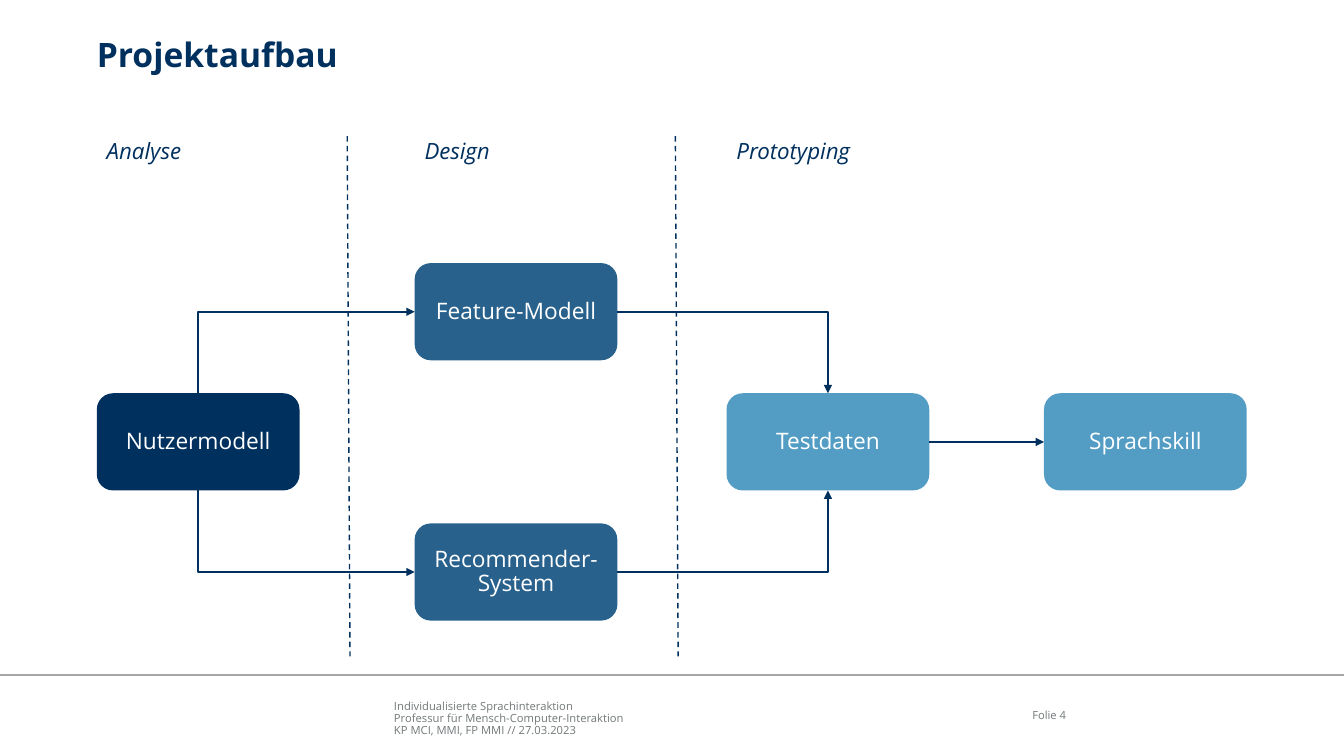
from lxml.etree import SubElement
from pptx import Presentation
from pptx.dml.color import RGBColor
from pptx.enum.dml import MSO_LINE
from pptx.enum.shapes import MSO_CONNECTOR, MSO_SHAPE
from pptx.enum.text import MSO_ANCHOR, PP_ALIGN
from pptx.oxml.ns import qn
from pptx.util import Cm, Pt

NAVY = RGBColor(0x00, 0x30, 0x5E)
BLUE = RGBColor(0x28, 0x61, 0x8C)
SKY = RGBColor(0x53, 0x9D, 0xC5)
WHITE = RGBColor(0xFF, 0xFF, 0xFF)
GREY = RGBColor(0x72, 0x78, 0x79)
RULE = RGBColor(0xA6, 0xA6, 0xA6)
FONT = "Open Sans"

TITLE = "Projektaufbau"
FOOTER = ("Individualisierte Sprachinteraktion\n"
          "Professur für Mensch-Computer-Interaktion\n"
          "KP MCI, MMI, FP MMI // 27.03.2023")
PAGE = "Folie 4"
PHASES = ["Analyse", "Design", "Prototyping"]
# text, column, row, fill
BOXES = [
    ("Nutzermodell", 0, 1, NAVY),
    ("Sprachskill", 3, 1, SKY),
    ("Testdaten", 2, 1, SKY),
    ("Recommender-System", 1, 2, BLUE),
    ("Feature-Modell", 1, 0, BLUE),
]
# begin box, side, end box, side, arrowhead end; bends leave the begin box sideways
TOP, LEFT, BOTTOM, RIGHT = range(4)
ARROWS = [
    ("Feature-Modell", LEFT, "Nutzermodell", TOP, "headEnd"),
    ("Recommender-System", LEFT, "Nutzermodell", BOTTOM, "headEnd"),
    ("Feature-Modell", RIGHT, "Testdaten", TOP, "tailEnd"),
    ("Recommender-System", RIGHT, "Testdaten", BOTTOM, "tailEnd"),
    ("Testdaten", RIGHT, "Sprachskill", LEFT, "tailEnd"),
]
DIVIDERS = [(8.75, 8.82), (17.02, 17.09)]  # x at top and bottom

COLUMNS = [2.44, 10.45, 18.31, 26.31]
ROW_TOP, ROW_STEP = 6.63, 3.28
BOX_W, BOX_H = 5.11, 2.45
SLIDE_W, SLIDE_H = 33.87, 19.05


def set_text(shape, text, size, color, align=PP_ALIGN.LEFT,
             anchor=MSO_ANCHOR.TOP, bold=False, italic=False, inset=None):
    tf = shape.text_frame
    tf.text = text
    tf.word_wrap = True
    tf.vertical_anchor = anchor
    if inset is not None:
        tf.margin_left = tf.margin_right = tf.margin_top = tf.margin_bottom = inset
    for p in tf.paragraphs:
        p.alignment = align
        p.line_spacing = 0.9
        for r in p.runs:
            r.font.name, r.font.size = FONT, Pt(size)
            r.font.bold, r.font.italic = bold, italic
            r.font.color.rgb = color


def add_line(s, kind, x1, y1, x2, y2, color, width):
    line = s.shapes.add_connector(kind, Cm(x1), Cm(y1), Cm(x2), Cm(y2))
    line.line.color.rgb = color
    line.line.width = Pt(width)
    SubElement(line._element.spPr, qn("a:effectLst"))
    return line


def add_arrow(s, begin, begin_side, end, end_side, head):
    straight = end_side in (LEFT, RIGHT)
    kind = MSO_CONNECTOR.STRAIGHT if straight else MSO_CONNECTOR.ELBOW
    arrow = add_line(s, kind, 0, 0, 1, 1, NAVY, 1.5)
    arrow.begin_connect(begin, begin_side)
    arrow.end_connect(end, end_side)
    if not straight:
        arrow._element.spPr.find(qn("a:prstGeom")).set("prst", "bentConnector2")
    SubElement(arrow.line._get_or_add_ln(), qn("a:" + head), type="triangle")


def main():
    prs = Presentation()
    prs.slide_width, prs.slide_height = Cm(SLIDE_W), Cm(SLIDE_H)
    s = prs.slides.add_slide(prs.slide_layouts[5])

    title = s.shapes.title
    title.left, title.top, title.width, title.height = Cm(2.44), Cm(0.97), Cm(29.4), Cm(1.9)
    set_text(title, TITLE, 24, NAVY, bold=True, inset=0)

    add_line(s, MSO_CONNECTOR.STRAIGHT, 0, 17.01, SLIDE_W, 17.01, RULE, 1)
    footer = s.shapes.add_textbox(Cm(9.93), Cm(17.55), Cm(14.4), Cm(1.02))
    set_text(footer, FOOTER, 8, GREY, anchor=MSO_ANCHOR.BOTTOM, inset=0)
    page = s.shapes.add_textbox(Cm(24.92), Cm(17.53), Cm(1.95), Cm(1.02))
    set_text(page, PAGE, 8, GREY, PP_ALIGN.RIGHT, MSO_ANCHOR.MIDDLE, inset=0)

    boxes = {}
    for text, col, row, fill in BOXES:
        box = s.shapes.add_shape(MSO_SHAPE.ROUNDED_RECTANGLE, Cm(COLUMNS[col]),
                                 Cm(ROW_TOP + row * ROW_STEP), Cm(BOX_W), Cm(BOX_H))
        box.shadow.inherit = False
        box.fill.solid()
        box.fill.fore_color.rgb = fill
        box.line.fill.background()
        set_text(box, text, 16.2, WHITE, PP_ALIGN.CENTER, MSO_ANCHOR.MIDDLE)
        boxes[text] = box

    for begin, begin_side, end, end_side, head in ARROWS:
        add_arrow(s, boxes[begin], begin_side, boxes[end], end_side, head)

    for x_top, x_bottom in DIVIDERS:
        divider = add_line(s, MSO_CONNECTOR.STRAIGHT, x_top, 3.43, x_bottom, 16.54, NAVY, 1)
        divider.line.dash_style = MSO_LINE.DASH

    for phase, x in zip(PHASES, COLUMNS):
        label = s.shapes.add_textbox(Cm(x), Cm(3.4), Cm(BOX_W), Cm(0.94))
        set_text(label, phase, 16, NAVY, italic=True)

    prs.save("out.pptx")


if __name__ == "__main__":
    main()
